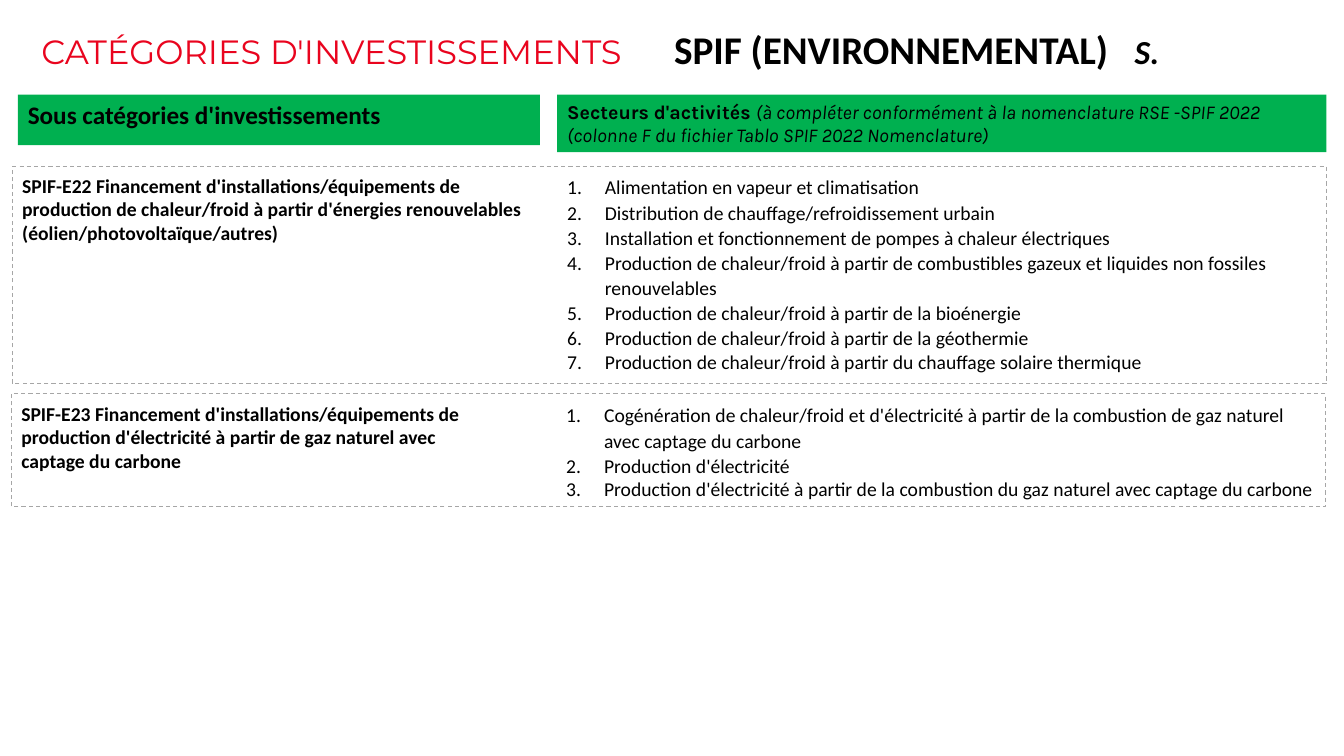
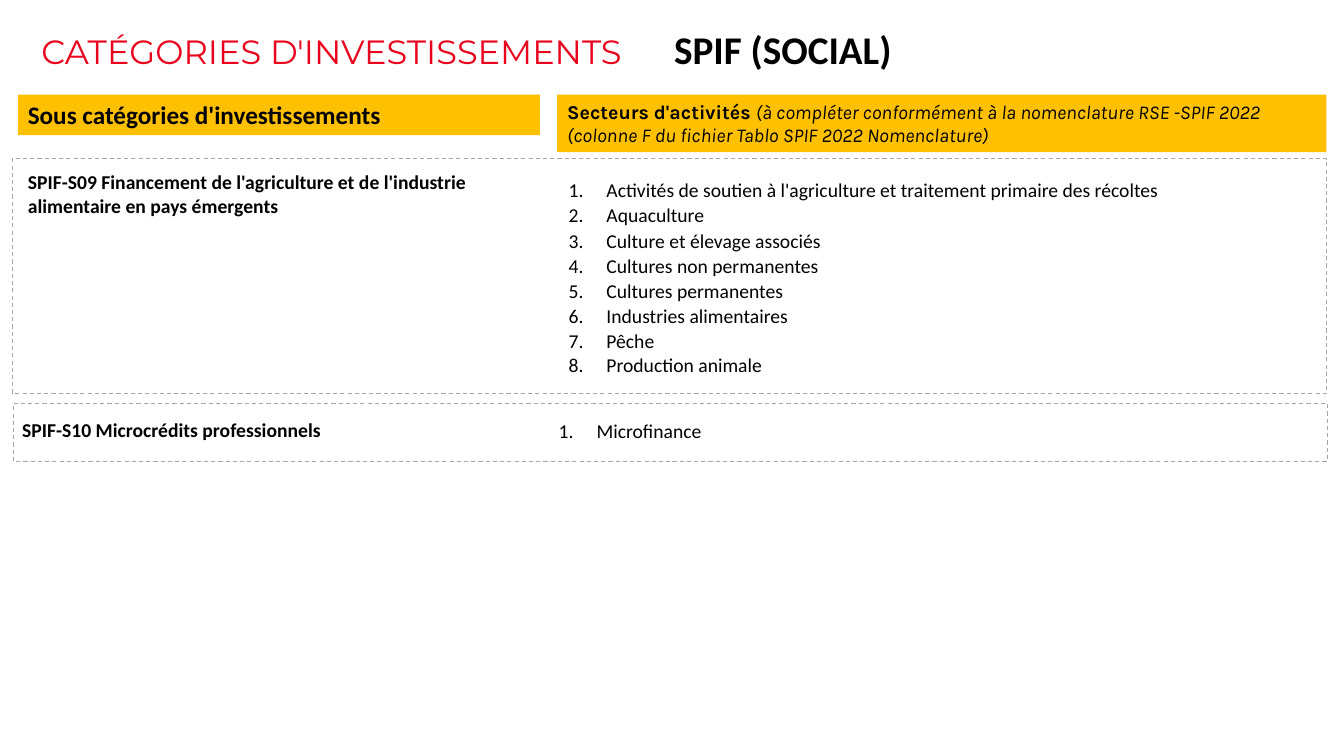
from dataclasses import dataclass

from lxml import etree
from pptx import Presentation
from pptx.dml.color import RGBColor
from pptx.enum.dml import MSO_LINE
from pptx.enum.shapes import MSO_SHAPE
from pptx.enum.text import MSO_ANCHOR, MSO_AUTO_SIZE, PP_ALIGN
from pptx.oxml.ns import qn
from pptx.util import Pt

RECTANGLE = MSO_SHAPE.RECTANGLE
DASH = MSO_LINE.DASH
TOP, MIDDLE, BOTTOM = MSO_ANCHOR.TOP, MSO_ANCHOR.MIDDLE, MSO_ANCHOR.BOTTOM
LEFT = PP_ALIGN.LEFT
FIXED_SIZE = MSO_AUTO_SIZE.NONE

# Shared colours, fonts and measures (points)
RED, BLACK, INK, GREY = "E9041E", "000000", "010101", "A6A6A6"
GREEN, AMBER = "00B050", "FFC000"
BODY_FONT, HEAD_FONT, NOTE_FONT = "Calibri", "Montserrat", "Karla"
PAGE_SIZE = (960, 540)
HEADER_TOP = 67.7
TITLE_TABS = (452, 781)
LIST_INDENT = 27
LIST_SPACING = 1.07
FRAME_WIDTH = 938.9
INSETS = (7.2, 3.6, 7.2, 3.6)
NO_INSETS = (0, 0, 0, 0)


@dataclass(frozen=True)
class Box:
    left: float
    top: float
    width: float
    height: float


@dataclass(frozen=True)
class Span:
    text: str
    size: float = 14
    font: str = BODY_FONT
    color: str = BLACK
    bold: bool = False
    italic: bool = False


@dataclass(frozen=True)
class Category:
    frame: Box
    label_box: Box
    label: str
    list_box: Box
    sectors: tuple[str, ...]
    centred: bool = False


@dataclass(frozen=True)
class Page:
    title: tuple[Span, ...]
    color: str
    left_header_height: float
    categories: tuple[Category, ...]


TITLE_START = Span("CATÉGORIES D'INVESTISSEMENTS\t", 24, HEAD_FONT, RED)
LEFT_HEADER = (Span("Sous catégories d'investissements", 18, color=INK, bold=True),)
RIGHT_HEADER = (
    Span("Secteurs d'activités ", font=NOTE_FONT, color=INK, bold=True),
    Span("(à compléter conformément à la nomenclature RSE -SPIF 2022 "
         "(colonne F du fichier Tablo SPIF 2022 Nomenclature)",
         font=NOTE_FONT, color=INK, italic=True),
)

PAGES = (
    Page(
        (TITLE_START,
         Span("SPIF (ENVIRONNEMENTAL)\t", 28, bold=True),
         Span("S.", 24, bold=True, italic=True)),
        GREEN, 36,
        (
            Category(
                Box(8.8, 119.2, FRAME_WIDTH, 154.8),
                Box(8.8, 120.5, 373, 58.3),
                "SPIF-E22 Financement d'installations/équipements de production de "
                "chaleur/froid à partir d'énergies renouvelables "
                "(éolien/photovoltaïque/autres)",
                Box(398, 120.5, 530.6, 151.2),
                ("Alimentation en vapeur et climatisation",
                 "Distribution de chauffage/refroidissement urbain",
                 "Installation et fonctionnement de pompes à chaleur électriques",
                 "Production de chaleur/froid à partir de combustibles gazeux et "
                 "liquides non fossiles renouvelables",
                 "Production de chaleur/froid à partir de la bioénergie",
                 "Production de chaleur/froid à partir de la géothermie",
                 "Production de chaleur/froid à partir du chauffage solaire thermique"),
            ),
            Category(
                Box(8, 281.2, FRAME_WIDTH, 80.6),
                Box(8.1, 283.4, 346.3, 58.3),
                "SPIF-E23 Financement d'installations/équipements de production "
                "d'électricité à partir de gaz naturel avec captage du carbone",
                Box(397.4, 283.4, 549.4, 78.5),
                ("Cogénération de chaleur/froid et d'électricité à partir de la "
                 "combustion de gaz naturel avec captage du carbone",
                 "Production d'électricité",
                 "Production d'électricité à partir de la combustion du gaz naturel "
                 "avec captage du carbone"),
            ),
        ),
    ),
    Page(
        (TITLE_START, Span("SPIF (SOCIAL)", 28, bold=True)),
        AMBER, 28.8,
        (
            Category(
                Box(8.8, 113.4, FRAME_WIDTH, 167.8),
                Box(12.8, 118.1, 373, 41),
                "SPIF-S09 Financement de l'agriculture et de l'industrie alimentaire "
                "en pays émergents",
                Box(399.1, 122.6, 480.2, 151.2),
                ("Activités de soutien à l'agriculture et traitement primaire des récoltes",
                 "Aquaculture",
                 "Culture et élevage associés",
                 "Cultures non permanentes",
                 "Cultures permanentes",
                 "Industries alimentaires",
                 "Pêche",
                 "Production animale"),
            ),
            Category(
                Box(9.4, 288.4, FRAME_WIDTH, 41),
                Box(8.8, 294.8, 376.6, 24.5),
                "SPIF-S10 Microcrédits professionnels",
                Box(399.1, 294.8, 549.4, 24.5),
                ("Microfinance",),
                centred=True,
            ),
        ),
    ),
)


def rgb(color: str) -> RGBColor:
    return RGBColor.from_string(color)


def corners(box: Box) -> tuple:
    return Pt(box.left), Pt(box.top), Pt(box.width), Pt(box.height)


def set_frame(frame, anchor=TOP, insets=INSETS) -> None:
    frame.word_wrap = True
    frame.auto_size = FIXED_SIZE
    frame.vertical_anchor = anchor
    (frame.margin_left, frame.margin_top,
     frame.margin_right, frame.margin_bottom) = map(Pt, insets)


def add_spans(para, spans: tuple[Span, ...]) -> None:
    para.alignment = LEFT
    for span in spans:
        run = para.add_run()
        run.text = span.text
        font = run.font
        font.name, font.size = span.font, Pt(span.size)
        font.bold, font.italic = span.bold, span.italic
        font.color.rgb = rgb(span.color)


def add_text(slide, box: Box, spans: tuple[Span, ...]) -> None:
    frame = slide.shapes.add_textbox(*corners(box)).text_frame
    set_frame(frame)
    add_spans(frame.paragraphs[0], spans)


def add_rectangle(slide, box: Box):
    shape = slide.shapes.add_shape(RECTANGLE, *corners(box))
    shape.shadow.inherit = False
    return shape


def add_header(slide, box: Box, color: str, spans: tuple[Span, ...]) -> None:
    shape = add_rectangle(slide, box)
    shape.fill.solid()
    shape.fill.fore_color.rgb = rgb(color)
    shape.line.fill.background()
    set_frame(shape.text_frame)
    add_spans(shape.text_frame.paragraphs[0], spans)


def add_dashed_frame(slide, box: Box) -> None:
    shape = add_rectangle(slide, box)
    shape.fill.background()
    shape.line.color.rgb = rgb(GREY)
    shape.line.width = Pt(0.75)
    shape.line.dash_style = DASH


def add_numbered_list(slide, box: Box, items: tuple[str, ...], centred: bool) -> None:
    frame = slide.shapes.add_textbox(*corners(box)).text_frame
    if centred:
        set_frame(frame, MIDDLE, NO_INSETS)
    else:
        set_frame(frame)
    for index, item in enumerate(items):
        para = frame.add_paragraph() if index else frame.paragraphs[0]
        # The last of several items keeps single spacing
        para.line_spacing = 1.0 if 0 < index == len(items) - 1 else LIST_SPACING
        add_spans(para, (Span(item),))
        properties = para._p.get_or_add_pPr()
        properties.set("marL", str(Pt(LIST_INDENT)))
        properties.set("indent", str(-Pt(LIST_INDENT)))
        etree.SubElement(properties, qn("a:buAutoNum"), type="arabicPeriod")


def format_title(slide, spans: tuple[Span, ...]) -> None:
    title = slide.shapes.title
    title.left, title.top, title.width, title.height = corners(
        Box(29.5, 24.5, 897.1, 26.6))
    set_frame(title.text_frame, BOTTOM, NO_INSETS)
    para = title.text_frame.paragraphs[0]
    para.line_spacing = 0.75
    add_spans(para, spans)
    # Tab stops hold the gaps between the title parts
    tabs = etree.SubElement(para._p.get_or_add_pPr(), qn("a:tabLst"))
    for stop in TITLE_TABS:
        etree.SubElement(tabs, qn("a:tab"), pos=str(Pt(stop)), algn="l")


def add_page(deck, page: Page) -> None:
    slide = deck.slides.add_slide(deck.slide_layouts[5])
    format_title(slide, page.title)
    # Column headers
    add_header(slide, Box(12.8, HEADER_TOP, 372.8, page.left_header_height),
               page.color, LEFT_HEADER)
    add_header(slide, Box(398, HEADER_TOP, 549.4, 41), page.color, RIGHT_HEADER)
    # Framed categories with their sectors
    for category in page.categories:
        add_dashed_frame(slide, category.frame)
        add_text(slide, category.label_box, (Span(category.label, bold=True),))
        add_numbered_list(slide, category.list_box, category.sectors, category.centred)


def main() -> None:
    deck = Presentation()
    deck.slide_width, deck.slide_height = map(Pt, PAGE_SIZE)
    for page in PAGES:
        add_page(deck, page)
    deck.save("out.pptx")


if __name__ == "__main__":
    main()
